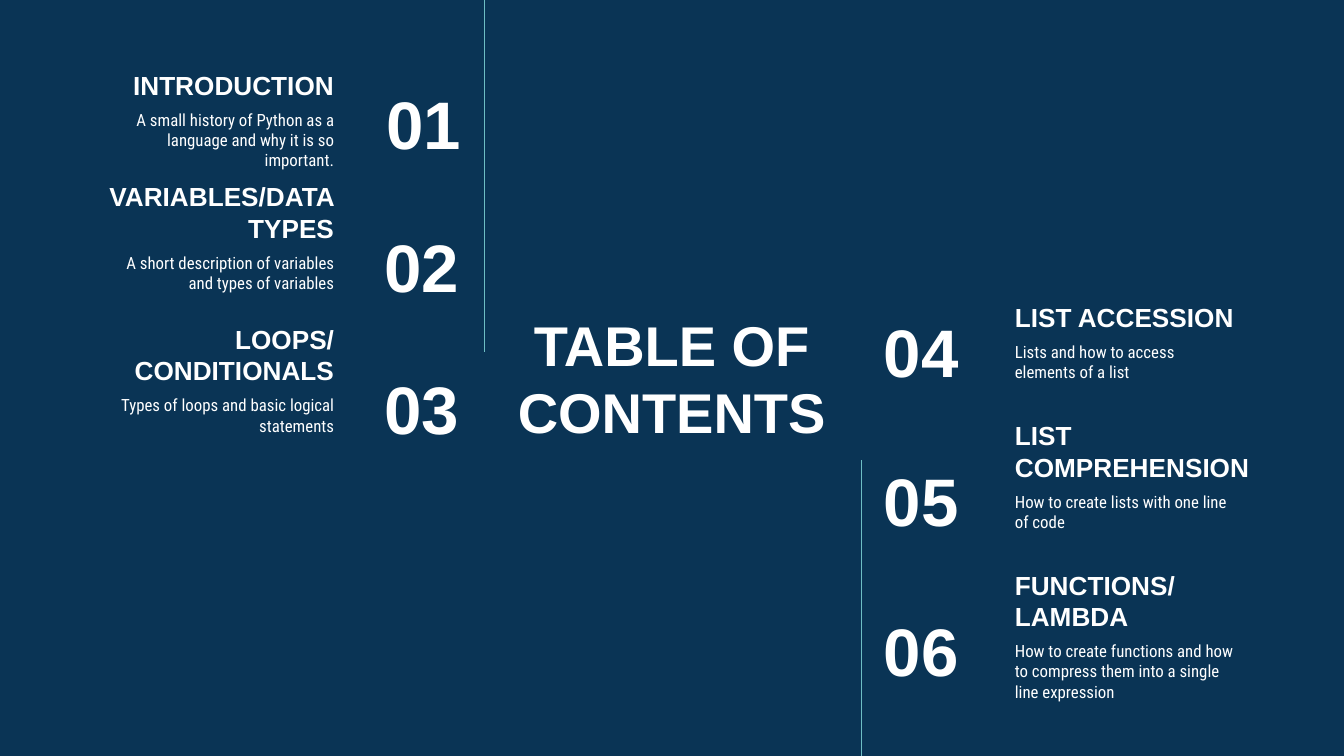
from pptx import Presentation
from pptx.dml.color import RGBColor as RGB
from pptx.enum.shapes import MSO_CONNECTOR as Conn
from pptx.enum.text import MSO_ANCHOR as Anchor, PP_ALIGN as Align
from pptx.oxml.ns import qn
from pptx.util import Inches, Pt
from lxml.etree import SubElement

THEME = {
    "background": RGB(0x0A, 0x34, 0x55),
    "text": RGB(0xFF, 0xFF, 0xFF),
    "rule": RGB(0x6E, 0xBD, 0xC4),
    "display": "Arial",
    "body": "Roboto Condensed",
    "title": 30, "number": 36, "heading": 14, "note": 9,
}

# Widescreen 16:9 slide
prs = Presentation()
prs.slide_width = Inches(10)
prs.slide_height = prs.slide_width * 9 // 16
s = prs.slides.add_slide(prs.slide_layouts[6])
s.background.fill.solid()
s.background.fill.fore_color.rgb = THEME["background"]

# Square grid: 100 columns across the slide, rows of the same size
UNIT = prs.slide_width // 100
BOX_H = 6.3


def grid(*lengths):
    return [round(n * UNIT) for n in lengths]


def add_text(text, x, y, w, h=BOX_H, size="heading", font="display",
             bold=True, align=Align.LEFT, anchor=Anchor.MIDDLE):
    tf = s.shapes.add_textbox(*grid(x, y, w, h)).text_frame
    tf.word_wrap = True
    tf.vertical_anchor = anchor
    tf.margin_left = tf.margin_right = tf.margin_top = tf.margin_bottom = UNIT
    p = tf.paragraphs[0]
    p.alignment = align
    r = p.add_run()
    r.text = text
    r.font.name, r.font.size = THEME[font], Pt(THEME[size])
    r.font.bold, r.font.color.rgb = bold, THEME["text"]


# Title
add_text("TABLE OF CONTENTS", 37.03, 22.97, 25.9, 10.3, size="title",
         align=Align.CENTER)

# Vertical rules
for x, top, bottom in [(36.06, 0, 26.2), (64.1, 34.23, 56.4)]:
    line = s.shapes.add_connector(Conn.STRAIGHT, *grid(x, top, x, bottom))
    line.line.color.rgb, line.line.width = THEME["rule"], Pt(0.75)
    SubElement(line._element.spPr, qn("a:effectLst"))

# Left entries: heading, heading width, note, right edge of the number
left = [
    ("INTRODUCTION", 21.6,
     "A small history of Python as a language and why it is so important.", 35.3),
    ("VARIABLES/DATA TYPES", 25.1,
     "A short description of variables and types of variables", 35.13),
    ("LOOPS/CONDITIONALS", 23.9,
     "Types of loops and basic logical statements", 35.13),
]
# Right entries: heading, note
right = [
    ("LIST ACCESSION", "Lists and how to access elements of a list"),
    ("LIST COMPREHENSION", "How to create lists with one line of code"),
    ("FUNCTIONS/LAMBDA",
     "How to create functions and how to compress them into a single line expression"),
]
NOTE_DROP, NOTE_W = 4.96, 18.3

EDGE = 25.84
for i, (heading, w, note, number_edge) in enumerate(left):
    y = 2.2 + i * 10.62
    add_text(heading, EDGE - w, y, w, align=Align.RIGHT, anchor=Anchor.BOTTOM)
    add_text(note, EDGE - NOTE_W, y + NOTE_DROP, NOTE_W, size="note", font="body",
             bold=False, align=Align.RIGHT, anchor=Anchor.TOP)
    add_text(f"{i + 1:02}", number_edge - 12.1, y + 3.78, 12.1, size="number",
             align=Align.RIGHT)

EDGE = 74.53
for i, (heading, note) in enumerate(right):
    y = 19.45 + i * 11.14
    add_text(heading, EDGE, y, 21.6, anchor=Anchor.BOTTOM)
    add_text(note, EDGE, y + NOTE_DROP, NOTE_W, size="note", font="body",
             bold=False, anchor=Anchor.TOP)
    add_text(f"{i + 4:02}", 64.77, y + 3.46, 11.7, size="number")

prs.save("out.pptx")
